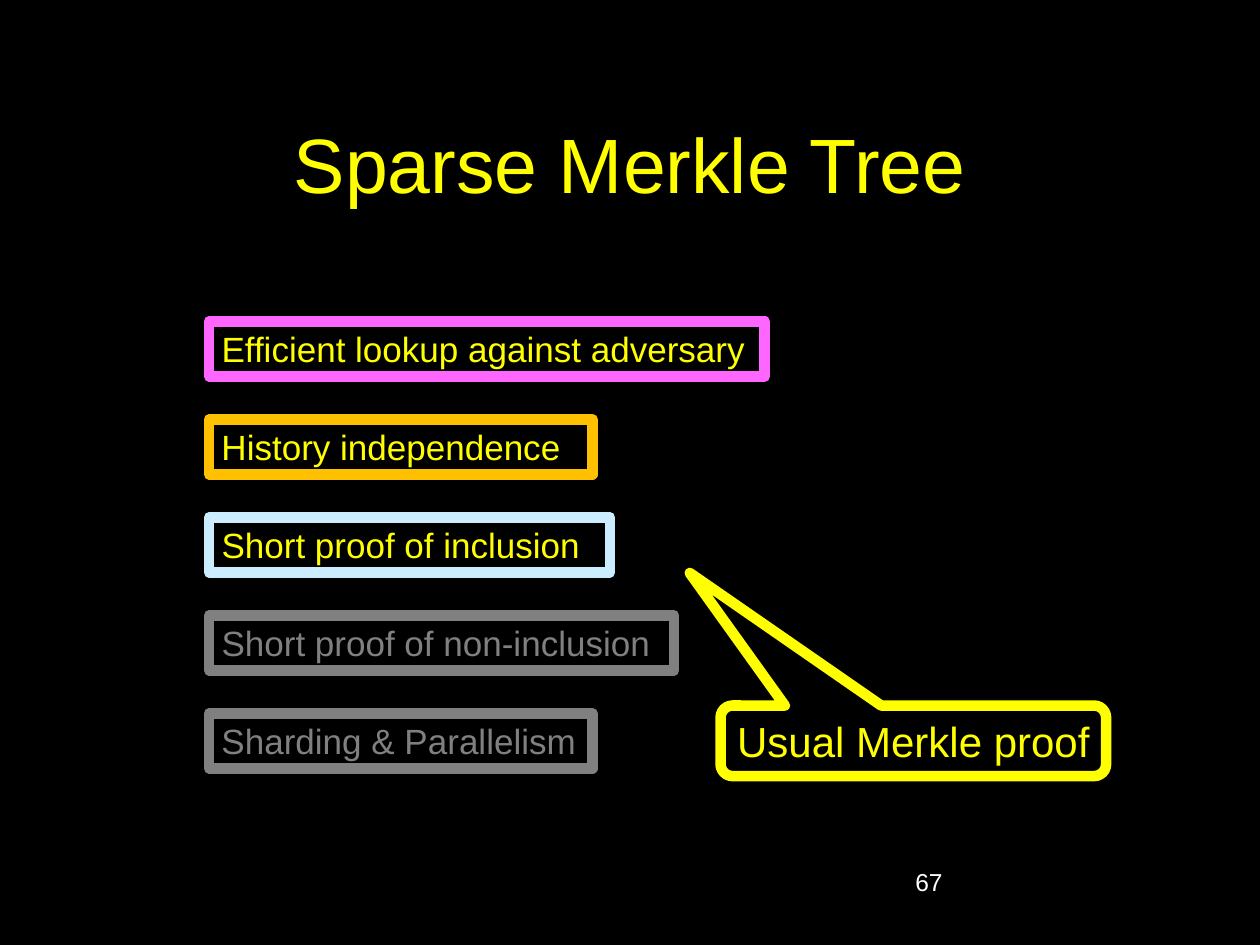
from dataclasses import dataclass

from pptx import Presentation
from pptx.dml.color import RGBColor
from pptx.enum.shapes import MSO_SHAPE
from pptx.enum.text import MSO_ANCHOR, PP_ALIGN
from pptx.shapes.autoshape import Shape
from pptx.slide import Slide
from pptx.util import Pt

BLACK = RGBColor(0x00, 0x00, 0x00)
WHITE = RGBColor(0xFF, 0xFF, 0xFF)
YELLOW = RGBColor(0xFF, 0xFF, 0x00)
PINK = RGBColor(0xFF, 0x66, 0xFF)
ORANGE = RGBColor(0xFF, 0xC0, 0x00)
PALE_BLUE = RGBColor(0xCC, 0xEC, 0xFF)
GRAY = RGBColor(0x80, 0x80, 0x80)

FONT = "Arial"
BORDER = 6
PROPERTY_LEFT, PROPERTY_TOP = 119.5, 183.6
PROPERTY_HEIGHT, PROPERTY_PITCH = 31.5, 56


@dataclass
class Property:
    label: str
    width: float
    border: RGBColor
    color: RGBColor = YELLOW


PROPERTIES = [
    Property("Efficient lookup against adversary", 317.5, PINK),
    Property("History independence", 219, ORANGE),
    Property("Short proof of inclusion", 229, PALE_BLUE),
    Property("Short proof of non-inclusion", 265.7, GRAY, GRAY),
    Property("Sharding & Parallelism", 219, GRAY, GRAY),
]


def write(shape: Shape, text: str, *, size: float, color: RGBColor = YELLOW,
          align: PP_ALIGN = PP_ALIGN.LEFT, anchor: MSO_ANCHOR = MSO_ANCHOR.TOP,
          wrap: bool = True) -> None:
    frame = shape.text_frame
    frame.word_wrap = wrap
    frame.vertical_anchor = anchor
    frame.text = text
    paragraph = frame.paragraphs[0]
    paragraph.alignment = align
    paragraph.font.name = FONT
    paragraph.font.size = Pt(size)
    paragraph.font.color.rgb = color


def add_outlined(slide: Slide, kind: MSO_SHAPE, left: float, top: float,
                 width: float, height: float, border: RGBColor) -> Shape:
    shape = slide.shapes.add_shape(kind, Pt(left), Pt(top), Pt(width), Pt(height))
    shape.shadow.inherit = False
    shape.fill.solid()
    shape.fill.fore_color.rgb = BLACK
    shape.line.color.rgb = border
    shape.line.width = Pt(BORDER)
    return shape


def add_property(slide: Slide, row: int, item: Property) -> None:
    top = PROPERTY_TOP + row * PROPERTY_PITCH
    box = add_outlined(slide, MSO_SHAPE.RECTANGLE, PROPERTY_LEFT, top,
                       item.width, PROPERTY_HEIGHT, item.border)
    write(box, item.label, size=20, color=item.color)


def main() -> None:
    deck = Presentation()
    deck.slide_width, deck.slide_height = Pt(720), Pt(540)
    slide = deck.slides.add_slide(deck.slide_layouts[5])
    slide.background.fill.solid()
    slide.background.fill.fore_color.rgb = BLACK

    # Title
    title = slide.shapes.title
    title.left, title.top, title.width, title.height = Pt(54), Pt(48), Pt(612), Pt(90)
    write(title, "Sparse Merkle Tree", size=44, align=PP_ALIGN.CENTER,
          anchor=MSO_ANCHOR.MIDDLE)

    # Properties of the tree
    for row, item in enumerate(PROPERTIES):
        add_property(slide, row, item)

    # Callout pointing at the proof of inclusion
    proof_note = add_outlined(slide, MSO_SHAPE.ROUNDED_RECTANGULAR_CALLOUT,
                              411.8, 403.2, 220.3, 40.3, YELLOW)
    for index, value in enumerate((-0.58, -2.38, 0.17)):
        proof_note.adjustments[index] = value
    write(proof_note, "Usual Merkle proof", size=24, align=PP_ALIGN.CENTER,
          anchor=MSO_ANCHOR.MIDDLE, wrap=False)

    # Page number
    page_number = slide.shapes.add_textbox(Pt(516), Pt(492), Pt(150), Pt(36))
    write(page_number, "67", size=14, color=WHITE)

    deck.save("out.pptx")


if __name__ == "__main__":
    main()
